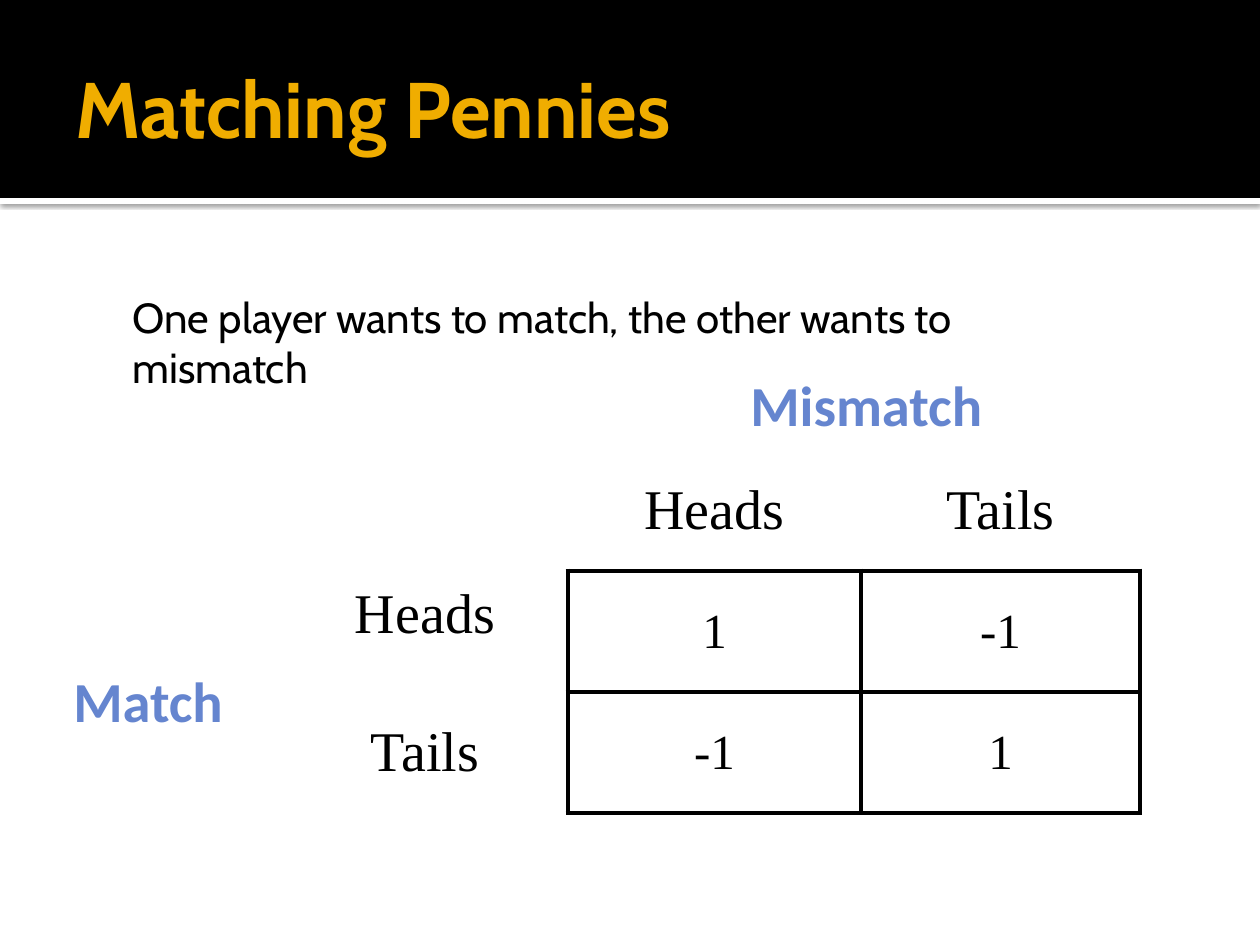
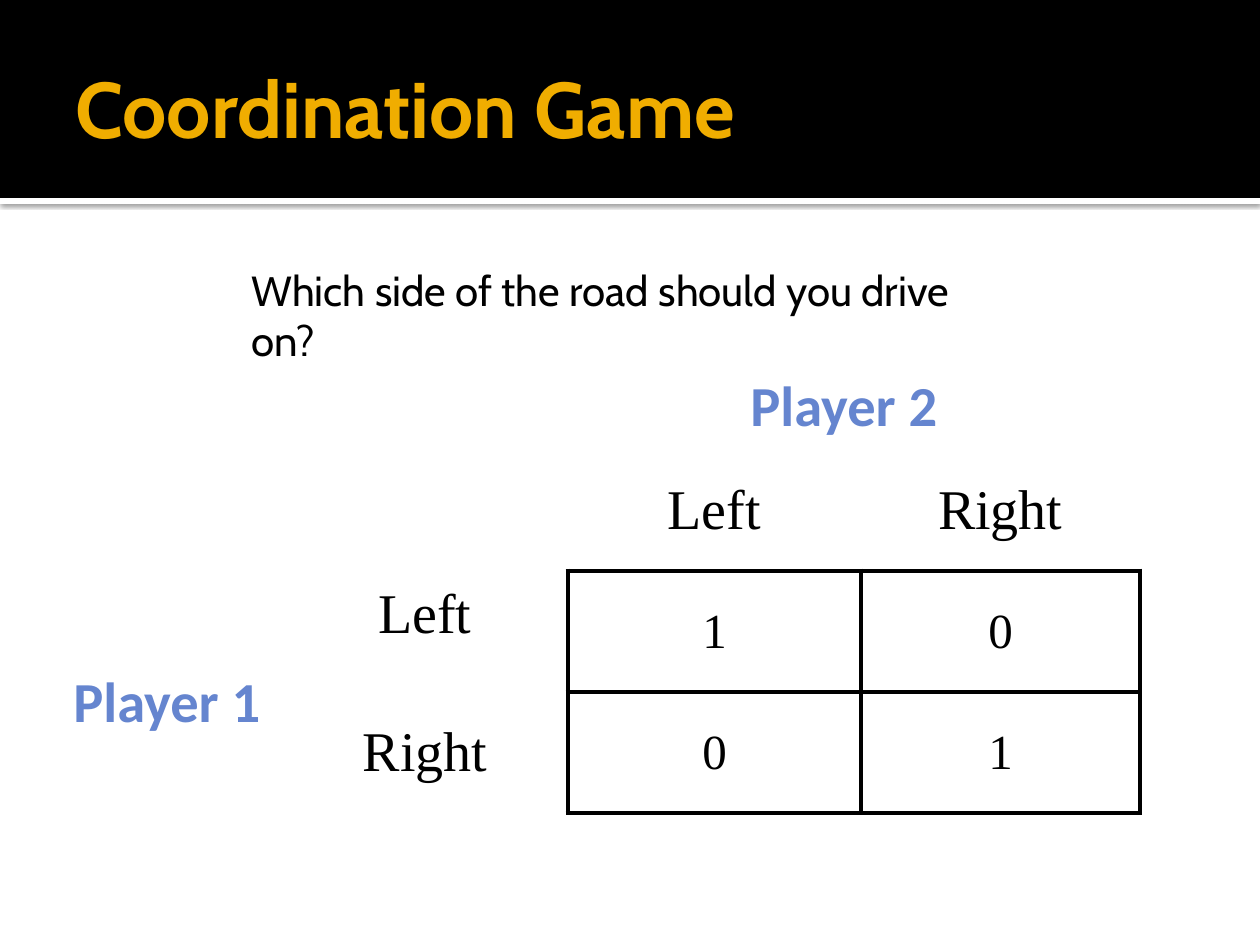
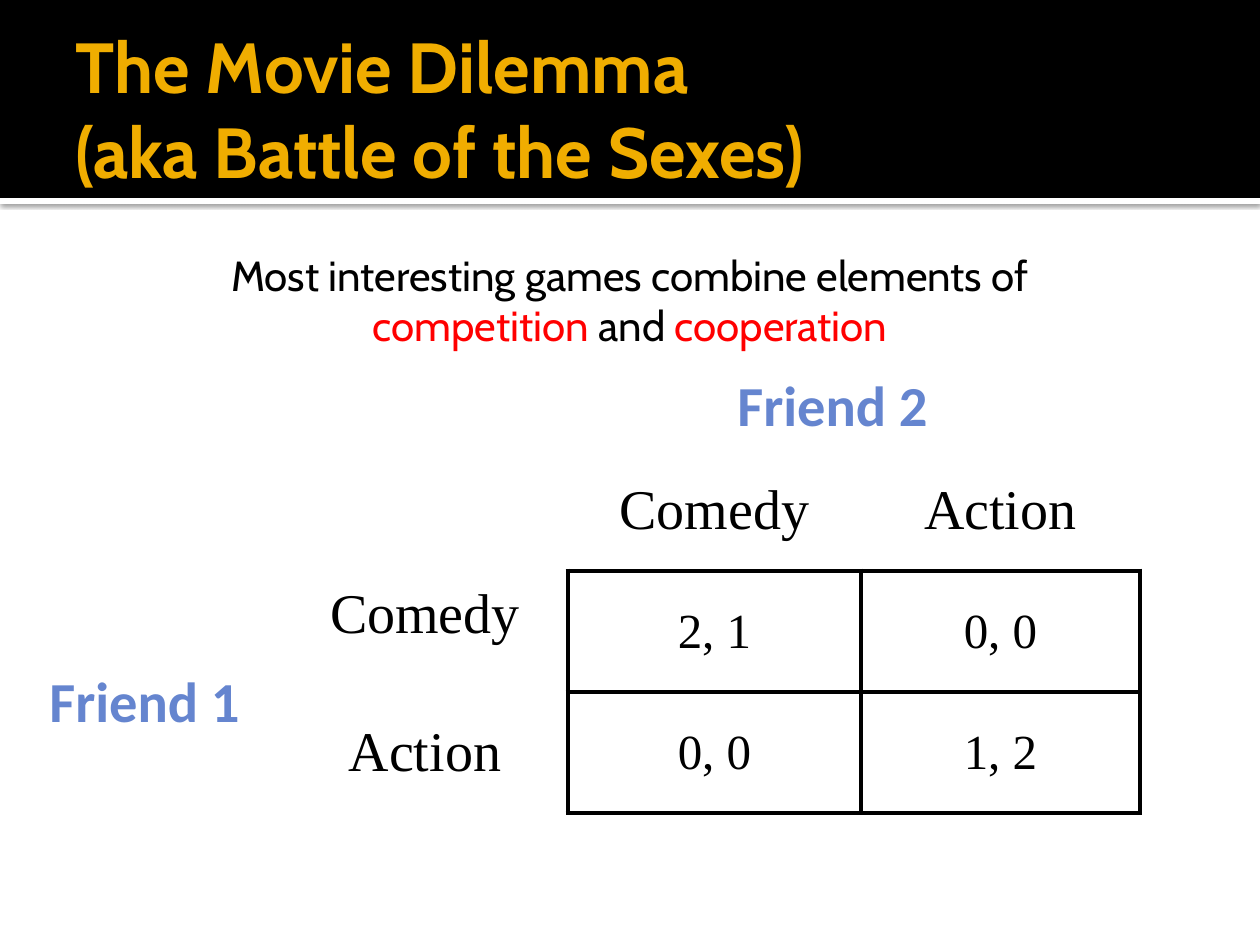
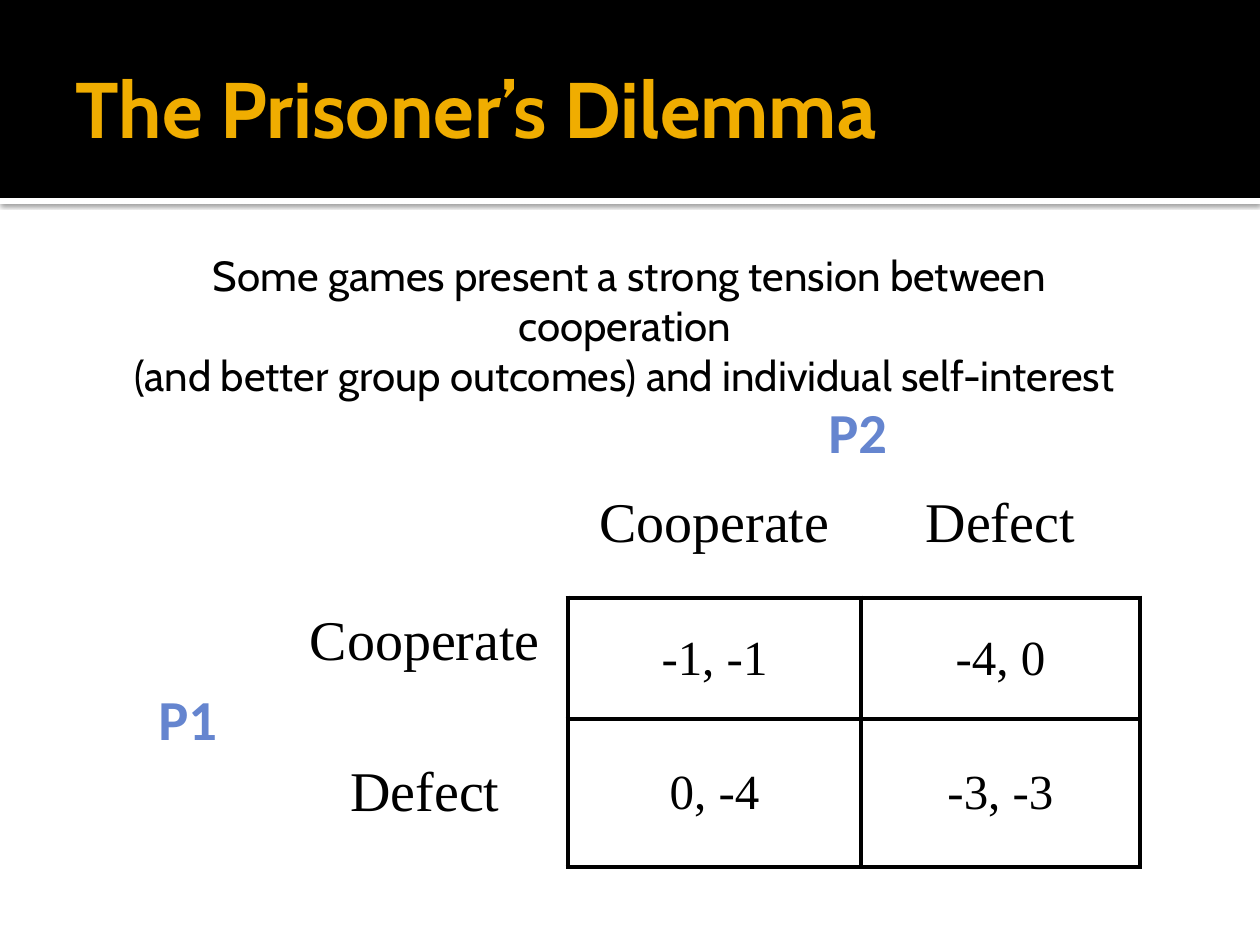
import pptx
import pptx.util
import pptx.dml.color
import pptx.enum.shapes
import pptx.enum.text
import pptx.oxml
import pptx.oxml.ns
import lxml.etree

PX = 914400 // 126
BLACK, WHITE, GOLD, BLUE, RED = "000000", "FFFFFF", "F0AD00", "6585CF", "FF0000"
HEAD, BODY, SERIF = "Cabin", "Calibri", "Times New Roman"
LEFT, CENTER = pptx.enum.text.PP_ALIGN.LEFT, pptx.enum.text.PP_ALIGN.CENTER
TOP, MIDDLE = pptx.enum.text.MSO_ANCHOR.TOP, pptx.enum.text.MSO_ANCHOR.MIDDLE
NO_STYLE = "{2D5ABB26-0587-4C30-8999-92F81FD0307C}"
COL_WIDTHS = (286, 293, 279)
ROW_HEIGHTS = (121, 121, 121)
GRID_LEFT, GRID_TOP = 282, 450
LABEL_SIZE, LABEL_HEIGHT = 32.3, 82


def px(n):
    return pptx.util.Emu(n * PX)


def rgb(hex_color):
    return pptx.dml.color.RGBColor.from_string(hex_color)


def write(tf, text, size=24, font=HEAD, color=BLACK, bold=False, align=LEFT, accents=()):
    for i, line in enumerate(text.split("\n")):
        p = tf.paragraphs[0] if i == 0 else tf.add_paragraph()
        p.alignment = align
        pieces = [line]
        for word in accents:
            pieces = [part for piece in pieces for part in split_at(piece, word)]
        for piece in pieces:
            r = p.add_run()
            r.text = piece
            r.font.size = pptx.util.Pt(size)
            r.font.name = font
            r.font.bold = bold
            r.font.color.rgb = rgb(RED if piece in accents else color)


def split_at(piece, word):
    return [part for part in piece.partition(word) if part]


def add_text(s, box, text, anchor=TOP, **fmt):
    tf = s.shapes.add_textbox(*map(px, box)).text_frame
    tf.word_wrap = True
    tf.vertical_anchor = anchor
    write(tf, text, **fmt)
    return tf


def add_rect(s, box, color):
    sp = s.shapes.add_shape(pptx.enum.shapes.MSO_SHAPE.RECTANGLE, *map(px, box))
    sp.shadow.inherit = False
    sp.fill.solid()
    sp.fill.fore_color.rgb = rgb(color)
    sp.line.fill.background()
    return sp


def add_shadow(sp):
    effects = sp._element.spPr.find(pptx.oxml.ns.qn("a:effectLst"))
    effects.append(pptx.oxml.parse_xml(
        f'<a:outerShdw {pptx.oxml.ns.nsdecls("a")} blurRad="31750" dist="10160" dir="5400000" '
        f'algn="tl" rotWithShape="0"><a:srgbClr val="{BLACK}"><a:alpha val="60000"/>'
        '</a:srgbClr></a:outerShdw>'))


def title_band(s, box, title):
    x, y, w, h = box
    add_shadow(add_rect(s, (x, y + h, w, 6), WHITE))
    add_rect(s, box, BLACK)
    tf = add_text(s, (x + 63, y + 21, w - 126, h - 25), title, anchor=MIDDLE,
                  size=40.5 if "\n" in title else 45, color=GOLD, bold=True)
    tf.margin_right = px(6)


def set_borders(cell, sides):
    tcPr = cell._tc.get_or_add_tcPr()
    for side in "LRTB":
        paint = f'<a:solidFill><a:srgbClr val="{BLACK}"/></a:solidFill>' if side in sides else "<a:noFill/>"
        tcPr.append(pptx.oxml.parse_xml(
            f'<a:ln{side} {pptx.oxml.ns.nsdecls("a")} w="38100">{paint}</a:ln{side}>'))


def payoff_grid(s, left, top, heights, moves, payoffs):
    frame = s.shapes.add_table(3, 3, px(left), px(top), px(sum(COL_WIDTHS)), px(sum(heights)))
    table = frame.table
    table.first_row = table.horz_banding = False
    table._tbl.tblPr.find(pptx.oxml.ns.qn("a:tableStyleId")).text = NO_STYLE
    for col, width in zip(table.columns, COL_WIDTHS):
        col.width = px(width)
    for row, height in zip(table.rows, heights):
        row.height = px(height)
    rows = [("", *moves)] + [(move, *line) for move, line in zip(moves, payoffs)]
    for i, line in enumerate(rows):
        for j, text in enumerate(line):
            cell = table.cell(i, j)
            cell.vertical_anchor = MIDDLE
            is_payoff = i > 0 and j > 0
            set_borders(cell, "LRTB" if is_payoff else "R" if i else "B" if j else "")
            cell.fill.background()
            if text:
                write(cell.text_frame, text, size=28 if is_payoff else 32, font=SERIF, align=CENTER)
    table.cell(1, 0).margin_bottom = px(41)


def game_slide(prs, title, question, question_box, moves, payoffs, column_player, row_player,
               heights=ROW_HEIGHTS, align=LEFT, accents=()):
    s = prs.slides.add_slide(prs.slide_layouts[6])
    title_band(s, (0, 0, 1260, 198), title)
    payoff_grid(s, GRID_LEFT, GRID_TOP, heights, moves, payoffs)
    for name, x, y, w in (column_player, row_player):
        add_text(s, (x, y, w, LABEL_HEIGHT), name, size=LABEL_SIZE, font=BODY, color=BLUE, bold=True)
    add_text(s, question_box, question, align=align, accents=accents)


def main():
    prs = pptx.Presentation()
    prs.slide_width, prs.slide_height = px(1260), px(945)
    game_slide(prs, "Matching Pennies",
               "One player wants to match, the other wants to mismatch", (120, 285, 1020, 63),
               ("Heads", "Tails"), (("1", "-1"), ("-1", "1")),
               ("Mismatch", 738, 364, 307), ("Match", 61, 660, 205))
    game_slide(prs, "Coordination Game",
               "Which side of the road should you drive on?", (239, 258, 781, 63),
               ("Left", "Right"), (("1", "0"), ("0", "1")),
               ("Player 2", 738, 364, 261), ("Player 1", 61, 660, 261))
    game_slide(prs, "The Movie Dilemma\n(aka Battle of the Sexes)",
               "Most interesting games combine elements of \ncompetition and cooperation",
               (218, 243, 824, 115),
               ("Comedy", "Action"), (("2, 1", "0, 0"), ("0, 0", "1, 2")),
               ("Friend 2", 725, 364, 262), ("Friend 1", 37, 660, 262),
               align=CENTER, accents=("competition", "cooperation"))
    game_slide(prs, "The Prisoner’s Dilemma",
               "Some games present a strong tension between cooperation \n"
               "(and better group outcomes) and individual self-interest ",
               (92, 243, 1075, 115),
               ("Cooperate", "Defect"), (("-1, -1", "-4, 0"), ("0, -4", "-3, -3")),
               ("P2", 816, 391, 100), ("P1", 146, 678, 100),
               heights=(148, 121, 148), align=CENTER)
    prs.save("out.pptx")


if __name__ == "__main__":
    main()
